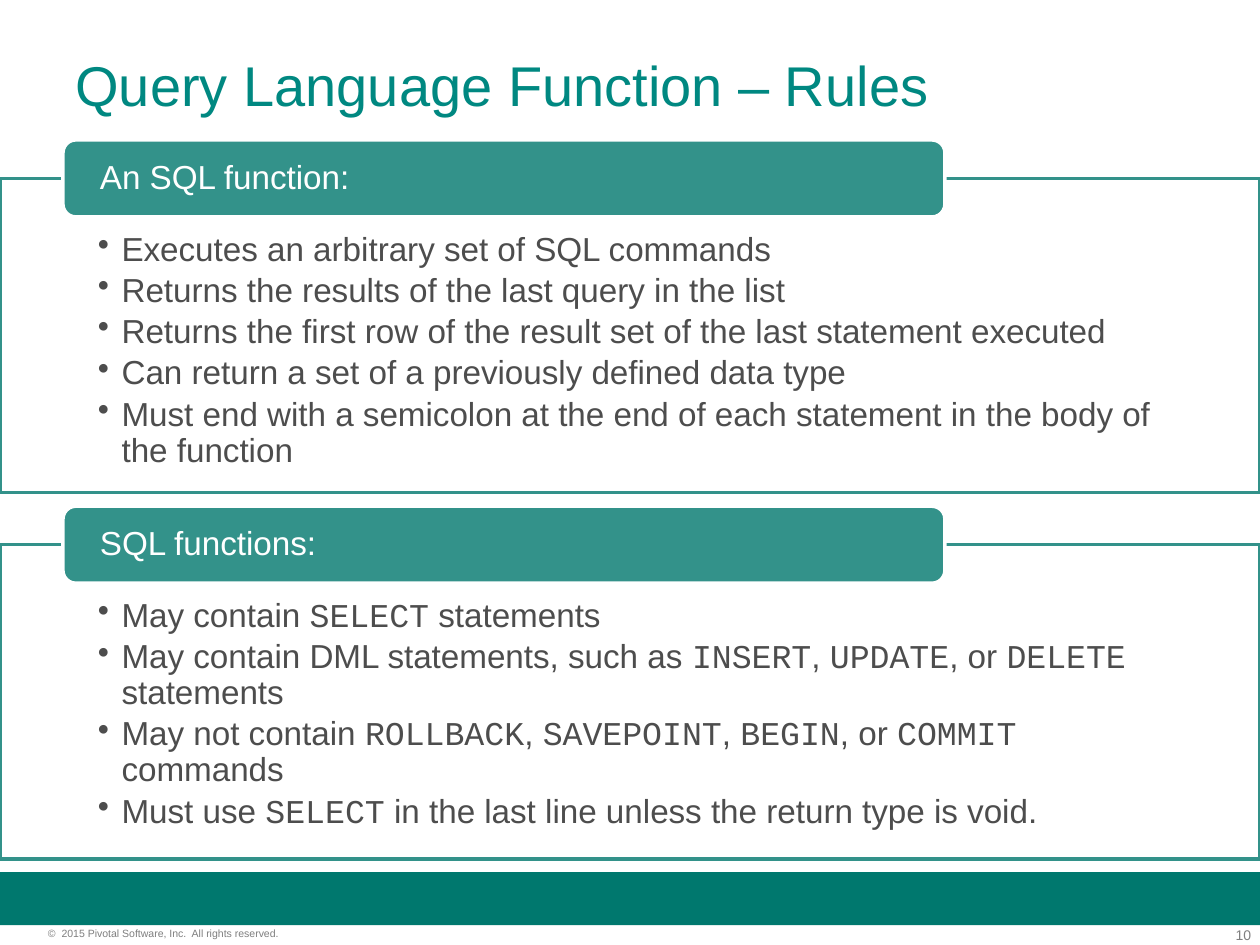
from dataclasses import dataclass

import lxml.etree
import pptx
import pptx.dml.color
import pptx.enum.shapes
import pptx.enum.text
import pptx.oxml.ns
import pptx.util

Pt = pptx.util.Pt
RGB = pptx.dml.color.RGBColor
SHAPE = pptx.enum.shapes.MSO_SHAPE
ALIGN = pptx.enum.text.PP_ALIGN
ANCHOR = pptx.enum.text.MSO_ANCHOR


@dataclass(frozen=True)
class Theme:
    title: RGB = RGB(0x00, 0x88, 0x81)
    accent: RGB = RGB(0x33, 0x92, 0x8A)
    band: RGB = RGB(0x00, 0x78, 0x6E)
    body: RGB = RGB(0x4D, 0x4D, 0x4D)
    footer: RGB = RGB(0x7F, 0x7F, 0x7F)
    white: RGB = RGB(0xFF, 0xFF, 0xFF)
    font: str = "Arial"
    code_font: str = "Courier New"
    title_size: float = 32
    body_size: float = 19
    number_size: float = 8
    copyright_size: float = 6


@dataclass(frozen=True)
class Box:
    left: float
    top: float
    width: float
    height: float


@dataclass(frozen=True)
class Section:
    heading: str
    rules: tuple[str, ...]  # SQL keywords stand between backticks


THEME = Theme()
SLIDE_WIDTH, SLIDE_HEIGHT = 720, 540
FIRST_SECTION_TOP, SECTION_PITCH = 80, 209.3
HEADING_HEIGHT, FRAME_HEIGHT = 44, 179.5
FRAME_OFFSET = HEADING_HEIGHT / 2

SECTIONS = (
    Section("An SQL function:", (
        "Executes an arbitrary set of SQL commands",
        "Returns the results of the last query in the list",
        "Returns the first row of the result set of the last statement executed",
        "Can return a set of a previously defined data type",
        "Must end with a semicolon at the end of each statement in the body of the function",
    )),
    Section("SQL functions:", (
        "May contain `SELECT` statements",
        "May contain DML statements, such as `INSERT`, `UPDATE`, or `DELETE` statements",
        "May not contain `ROLLBACK`, `SAVEPOINT`, `BEGIN`, or `COMMIT` commands",
        "Must use `SELECT` in the last line unless the return type is void.",
    )),
)


def set_insets(frame, left: float, top: float, right: float, bottom: float) -> None:
    frame.word_wrap = True
    frame.margin_left, frame.margin_top = Pt(left), Pt(top)
    frame.margin_right, frame.margin_bottom = Pt(right), Pt(bottom)


def style_run(run, size: float, color: RGB, font: str = THEME.font) -> None:
    run.font.size, run.font.name = Pt(size), font
    run.font.color.rgb = color


def add_label(slide, box: Box, text: str, size: float, color: RGB,
              align=ALIGN.LEFT, insets=(0, 0, 0, 0)) -> None:
    label = slide.shapes.add_textbox(Pt(box.left), Pt(box.top), Pt(box.width), Pt(box.height))
    set_insets(label.text_frame, *insets)
    label.text_frame.text = text
    paragraph = label.text_frame.paragraphs[0]
    paragraph.alignment = align
    style_run(paragraph.runs[0], size, color)


def add_block(slide, kind, box: Box, fill: RGB, line: RGB | None = None):
    block = slide.shapes.add_shape(kind, Pt(box.left), Pt(box.top), Pt(box.width), Pt(box.height))
    block.shadow.inherit = False
    block.fill.solid()
    block.fill.fore_color.rgb = fill
    if line is None:
        block.line.fill.background()
    else:
        block.line.color.rgb = line
        block.line.width = Pt(2)
    return block


def add_rule(paragraph, rule: str) -> None:
    properties = paragraph._p.get_or_add_pPr()
    properties.set("marL", str(Pt(13.5)))
    properties.set("indent", str(-Pt(13.5)))
    bullet = lxml.etree.SubElement(properties, pptx.oxml.ns.qn("a:buChar"))
    bullet.set("char", "•")
    paragraph.alignment = ALIGN.LEFT
    paragraph.line_spacing = 0.9
    paragraph.space_after = Pt(3)
    for index, part in enumerate(rule.split("`")):
        run = paragraph.add_run()
        run.text = part
        style_run(run, THEME.body_size, THEME.body,
                  THEME.code_font if index % 2 else THEME.font)


def add_section(slide, section: Section, top: float) -> None:
    # Outlined frame with the rules
    frame_box = Box(0, top + FRAME_OFFSET, SLIDE_WIDTH, FRAME_HEIGHT)
    frame = add_block(slide, SHAPE.RECTANGLE, frame_box, THEME.white, THEME.accent)
    frame.text_frame.vertical_anchor = ANCHOR.TOP
    set_insets(frame.text_frame, 56, 31, 56, 11)
    for index, rule in enumerate(section.rules):
        paragraphs = frame.text_frame
        add_rule(paragraphs.add_paragraph() if index else paragraphs.paragraphs[0], rule)

    # Heading over the frame's upper edge
    heading = add_block(slide, SHAPE.ROUNDED_RECTANGLE, Box(36, top, 504, HEADING_HEIGHT),
                        THEME.accent, THEME.white)
    heading.text_frame.vertical_anchor = ANCHOR.MIDDLE
    set_insets(heading.text_frame, 19, 0, 19, 0)
    heading.text_frame.text = section.heading
    paragraph = heading.text_frame.paragraphs[0]
    paragraph.alignment = ALIGN.LEFT
    paragraph.line_spacing = 0.9
    style_run(paragraph.runs[0], THEME.body_size, THEME.white)


def main() -> None:
    deck = pptx.Presentation()
    deck.slide_width, deck.slide_height = Pt(SLIDE_WIDTH), Pt(SLIDE_HEIGHT)
    slide = deck.slides.add_slide(deck.slide_layouts[6])

    # Footer
    add_block(slide, SHAPE.RECTANGLE, Box(0, 498.3, SLIDE_WIDTH, 30.3), THEME.band)
    add_label(slide, Box(673.2, 529.2, 41.8, 9.4), "10",
              THEME.number_size, THEME.footer, ALIGN.RIGHT)
    add_label(slide, Box(27.4, 529.9, 179.3, 7.2),
              "©  2015 Pivotal Software, Inc.  All rights reserved.",
              THEME.copyright_size, THEME.footer)

    # Title
    add_label(slide, Box(36, 21.6, 648, 90), "Query Language Function – Rules",
              THEME.title_size, THEME.title, insets=(7.2, 7.2, 7.2, 3.6))

    # Rule sections
    for index, section in enumerate(SECTIONS):
        add_section(slide, section, FIRST_SECTION_TOP + index * SECTION_PITCH)

    deck.save("out.pptx")


if __name__ == "__main__":
    main()
